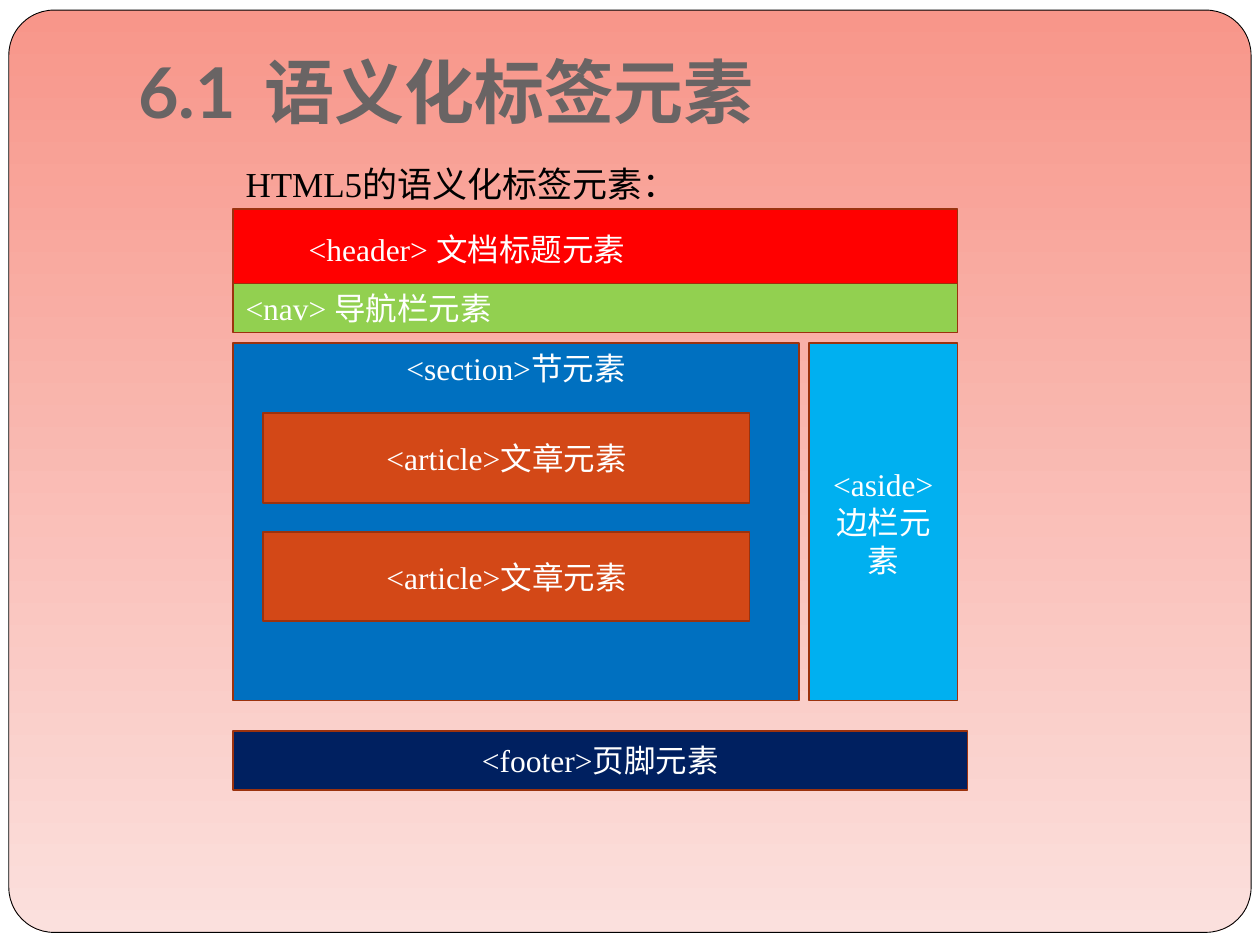
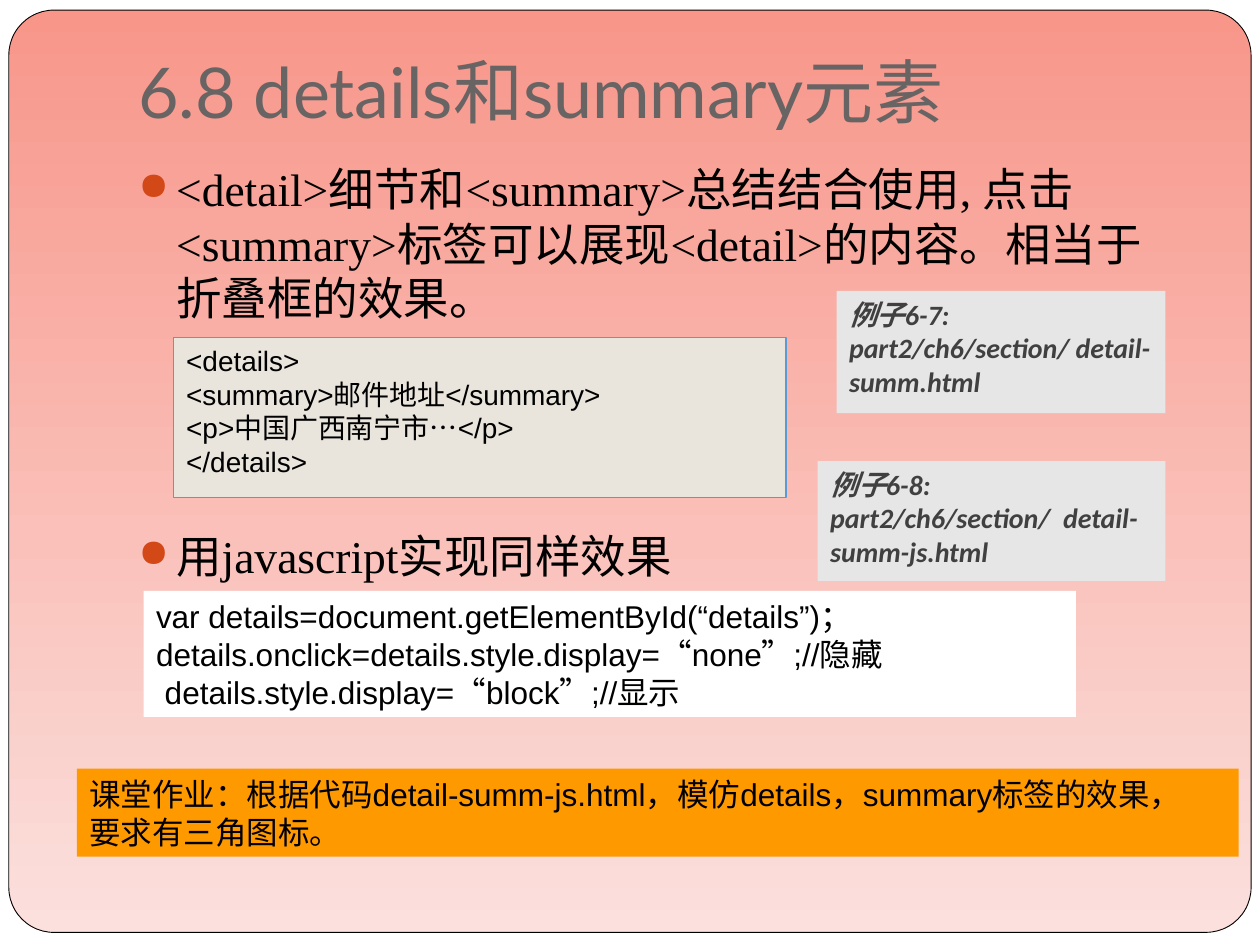
from lxml.etree import SubElement as Sub
from pptx import Presentation
from pptx.dml.color import RGBColor as Rgb
from pptx.enum.shapes import MSO_SHAPE as Kind
from pptx.enum.text import MSO_ANCHOR as Anchor, PP_ALIGN as Align
from pptx.oxml.ns import qn
from pptx.util import Inches, Pt

HEX = {
    "white": "FFFFFF", "black": "000000", "title": "696464",
    "top": "F8968A", "base": "FBE0DD", "rust": "D34817", "edge": "9B320E",
    "red": "FF0000", "green": "92D050", "blue": "0070C0", "sky": "00B0F0",
    "navy": "002060", "sand": "E9E5DC", "rim": "5B9BD5", "grey": "E7E6E6",
    "ink": "404040", "orange": "FF9900",
}
TIMES, ARIAL, LATO, NOTE = "Times New Roman", "Arial", "Lato", "Calibri"


def rgb(name):
    return Rgb.from_string(HEX[name])


class Deck:
    def __init__(self):
        self.prs = Presentation()
        self.prs.slide_width, self.prs.slide_height = Inches(10), Inches(7.5)
        self.slide = None

    def page(self, title, bold=False):
        """Start a slide with the shared panel and title."""
        self.slide = self.prs.slides.add_slide(self.prs.slide_layouts[6])
        back = self.slide.background.fill
        back.solid()
        back.fore_color.rgb = rgb("white")
        panel = self.shape((0.07, 0.08, 9.86, 7.32), None, "black", 0.5,
                           Kind.ROUNDED_RECTANGLE)
        panel.adjustments[0] = 0.049
        panel.fill.gradient()
        panel.fill.gradient_angle = 270
        for stop, name in zip(panel.fill.gradient_stops, ("top", "base")):
            stop.color.rgb = rgb(name)
        frame = self.text((1, 0.3, 8.5, 0.85), [title], 40, LATO, "title", bold)
        frame.vertical_anchor = Anchor.BOTTOM
        frame.margin_bottom = Inches(0.1)

    def shape(self, at, fill, edge=None, width=1, kind=Kind.RECTANGLE):
        item = self.slide.shapes.add_shape(kind, *map(Inches, at))
        item.shadow.inherit = False
        if fill:
            item.fill.solid()
            item.fill.fore_color.rgb = rgb(fill)
        if edge:
            item.line.color.rgb = rgb(edge)
            item.line.width = Pt(width)
        else:
            item.line.fill.background()
        return item

    def put(self, frame, lines, size, font, color, bold=False,
            italic=False, align=Align.LEFT):
        """Fill a text frame, one styled paragraph a line."""
        frame.word_wrap = True
        for i, line in enumerate(lines):
            para = frame.add_paragraph() if i else frame.paragraphs[0]
            para.alignment = align
            run = para.add_run()
            run.text = line
            style = run.font
            style.name, style.size = font, Pt(size)
            style.bold, style.italic = bold, italic
            style.color.rgb = rgb(color)
        return frame

    def text(self, at, lines, *style):
        box = self.slide.shapes.add_textbox(*map(Inches, at))
        return self.put(box.text_frame, lines, *style)

    def block(self, at, fill, lines, align=Align.CENTER, anchor=Anchor.MIDDLE):
        """Draw one region of the page layout diagram."""
        frame = self.shape(at, fill, "edge").text_frame
        frame.vertical_anchor = anchor
        return self.put(frame, lines, 18, TIMES, "white", align=align)

    def code(self, at, fill, lines, size=18, edge=None):
        frame = self.shape(at, fill, edge, 0.75).text_frame
        frame.vertical_anchor = Anchor.TOP
        return self.put(frame, lines, size, ARIAL, "black")

    def note(self, at, line):
        frame = self.shape(at, "grey").text_frame
        frame.vertical_anchor = Anchor.TOP
        self.put(frame, [line], 16, NOTE, "ink", True, True)

    def bullets(self, at, lines, gap):
        frame = self.text(at, lines, 26, TIMES, "black")
        for i, para in enumerate(frame.paragraphs):
            if i:
                para.space_before = Pt(gap)
            props = para._p.get_or_add_pPr()
            props.set("marL", str(Inches(0.3)))
            props.set("indent", str(-Inches(0.3)))
            tint = Sub(props, qn("a:buClr"))
            Sub(tint, qn("a:srgbClr"), val=HEX["rust"])
            Sub(props, qn("a:buSzPct"), val="85000")
            Sub(props, qn("a:buChar"), char="●")


def layout(deck):
    deck.page("6.1\t语义化标签元素", True)
    deck.text((1.85, 1.24, 7.55, 0.42), ["HTML5的语义化标签元素："],
              20, TIMES, "black")
    left, wide = 1.85, 5.75
    head = deck.block((left, 1.66, wide, 0.63), "red",
                      ["<header> 文档标题元素"], Align.LEFT)
    head.margin_left = Inches(0.6)
    deck.block((left, 2.25, wide, 0.39), "green", ["<nav> 导航栏元素"], Align.LEFT)
    deck.block((left, 2.72, 4.49, 2.84), "blue", ["<section>节元素"],
               anchor=Anchor.TOP)
    deck.block((6.42, 2.72, 1.18, 2.84), "sky", ["<aside>", "边栏元素"])
    deck.block((left, 5.8, 5.83, 0.47), "navy", ["<footer>页脚元素"])
    for top in (3.28, 4.22):
        deck.block((2.09, top, 3.86, 0.71), "rust", ["<article>文章元素"])


def details(deck):
    deck.page("6.8 details和summary元素")
    deck.bullets((1, 1.23, 8.5, 5.35), [
        "<detail>细节和<summary>总结结合使用, 点击<summary>标签可以展现"
        "<detail>的内容。相当于折叠框的效果。",
        "用javascript实现同样效果"], 116)
    deck.code((1.14, 4.69, 7.4, 1), "white", [
        "var details=document.getElementById(“details”)；",
        "details.onclick=details.style.display=“none”;//隐藏",
        " details.style.display=“block”;//显示"])
    task = deck.code((0.61, 6.1, 9.22, 0.7), "orange", [
        "课堂作业：根据代码detail-summ-js.html，模仿details，summary标签的效果，",
        "要求有三角图标。"])
    task.word_wrap = False
    deck.code((1.38, 2.68, 4.86, 1.27), "sand", [
        "<details>", "<summary>邮件地址</summary>",
        "<p>中国广西南宁市…</p>", "</details>"], 16, "rim")
    deck.note((6.64, 2.31, 2.61, 0.97),
              "例子6-7: part2/ch6/section/ detail-summ.html")
    deck.note((6.49, 3.66, 2.76, 0.95),
              "例子6-8: part2/ch6/section/  detail-summ-js.html")


def main():
    deck = Deck()
    layout(deck)
    details(deck)
    deck.prs.save("out.pptx")


if __name__ == "__main__":
    main()
